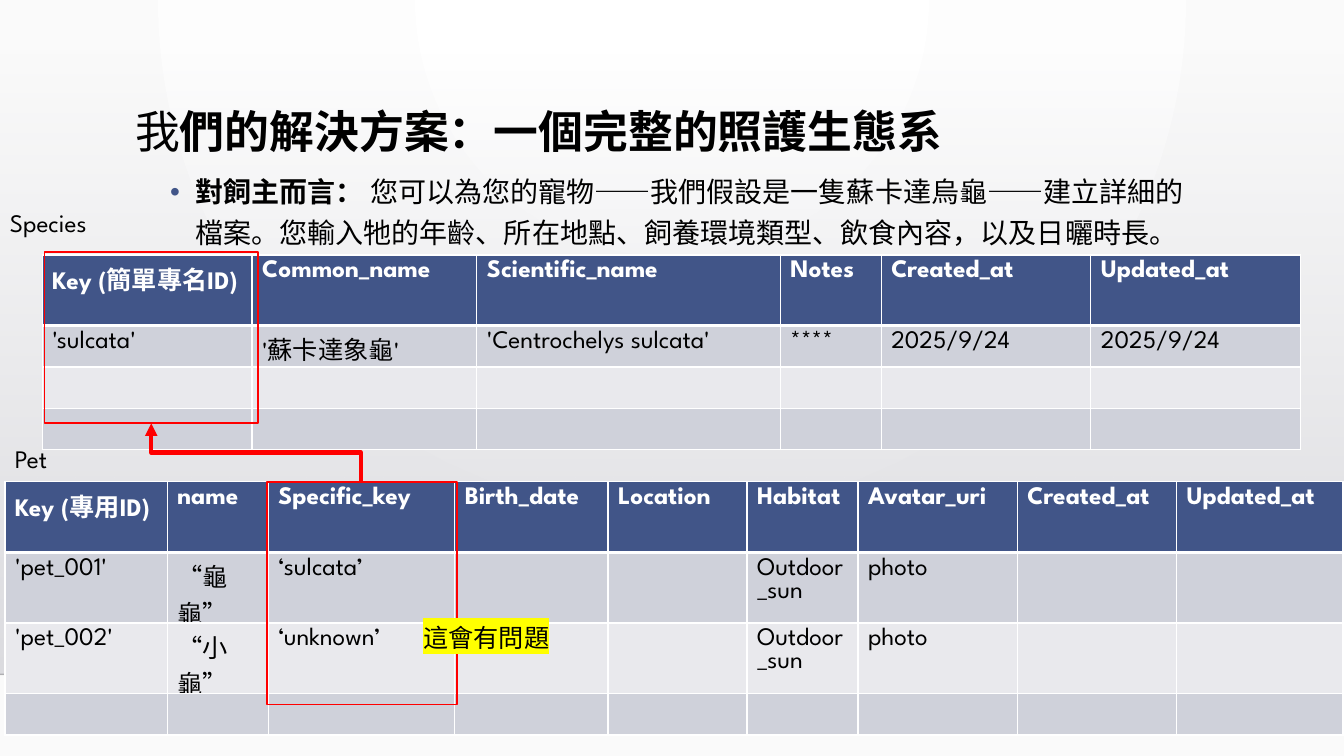
from dataclasses import dataclass

from lxml.etree import SubElement
from pptx import Presentation
from pptx.dml.color import RGBColor
from pptx.enum.shapes import MSO_CONNECTOR, MSO_SHAPE
from pptx.enum.text import MSO_ANCHOR, MSO_AUTO_SIZE, PP_ALIGN
from pptx.oxml import parse_xml
from pptx.oxml.ns import nsdecls, qn
from pptx.util import Emu, Pt

EMU_PER_PX = 9144  # 100 px to the inch
FONT = "League Spartan"
COLORS = {
    "text": "000000", "white": "FFFFFF", "header": "415588", "dark_band": "CFD1DA",
    "light_band": "E9E9ED", "red": "FF0000", "highlight": "FFFF00", "floor": "000001",
    "edge": "FAFAFA", "haze_top": "DCDCE0", "haze_bottom": "DEDEE2",
}


@dataclass(frozen=True)
class Box:
    left: int
    top: int
    width: int
    height: int

    def emu(self) -> tuple[Emu, ...]:
        return tuple(map(px, (self.left, self.top, self.width, self.height)))


@dataclass(frozen=True)
class DataTable:
    box: Box
    columns: list[int]
    rows: list[list[str]]


@dataclass(frozen=True)
class Label:
    box: Box
    text: str
    highlighted: bool = False


TABLES = [
    DataTable(Box(42, 253, 1248, 164), [208, 223, 301, 100, 208, 208], [
        ["Key (簡單專名ID)", "Common_name", "Scientific_name", "Notes", "Created_at", "Updated_at"],
        ["'sulcata'", "'蘇卡達象龜'", "'Centrochelys sulcata'", "****", "2025/9/24", "2025/9/24"],
        [""] * 6,
        [""] * 6,
    ]),
    DataTable(Box(5, 478, 1327, 164), [161, 100, 185, 152, 138, 110, 158, 158, 165], [
        ["Key (專用ID)", "name", "Specific_key", "Birth_date", "Location", "Habitat",
         "Avatar_uri", "Created_at", "Updated_at"],
        ["'pet_001'", "“龜龜”", "‘sulcata’", "", "", "Outdoor_sun", "photo", "", ""],
        ["'pet_002'", "“小龜”", "‘unknown’", "", "", "Outdoor_sun", "photo", "", ""],
        [""] * 9,
    ]),
]
KEY_FRAMES = [Box(44, 250, 212, 170), Box(265, 478, 188, 221)]
LABELS = [
    Label(Box(410, 612, 204, 40), "這會有問題", highlighted=True),
    Label(Box(0, 201, 464, 40), "Species"),
    Label(Box(5, 435, 464, 40), "Pet"),
]


def px(value: int) -> Emu:
    return Emu(value * EMU_PER_PX)


def rgb(name: str) -> RGBColor:
    return RGBColor.from_string(COLORS[name])


def add_run(paragraph, text: str, size: int, color: str = "text", bold: bool = False):
    run = paragraph.add_run()
    run.text = text
    run.font.size, run.font.bold, run.font.name = Pt(size), bold, FONT
    run.font.color.rgb = rgb(color)
    return run


def gradient(start: str, end: str, direction: str, start_alpha: int = 100):
    return parse_xml(
        f'<a:gradFill {nsdecls("a")} rotWithShape="1"><a:gsLst>'
        f'<a:gs pos="0"><a:srgbClr val="{COLORS[start]}"><a:alpha val="{start_alpha * 1000}"/>'
        f'</a:srgbClr></a:gs><a:gs pos="100000"><a:srgbClr val="{COLORS[end]}"/></a:gs>'
        f'</a:gsLst>{direction}</a:gradFill>')


def replace_gradient(fill_parent, new_fill) -> None:
    old_fill = fill_parent.find(qn("a:gradFill"))
    fill_parent.replace(old_fill, new_fill)


def add_connector(slide, kind, start: tuple[int, int], end: tuple[int, int],
                  color: str, width: float):
    connector = slide.shapes.add_connector(kind, *map(px, start + end))
    connector.line.color.rgb = rgb(color)
    connector.line.width = Pt(width)
    SubElement(connector.element.spPr, qn("a:effectLst"))
    return connector


def add_backdrop(slide) -> None:
    slide.background.fill.gradient()
    replace_gradient(slide.background.fill._xPr, gradient(
        "white", "edge", '<a:path path="circle">'
        '<a:fillToRect l="43000" t="0" r="43000" b="100000"/></a:path>'))
    haze = slide.shapes.add_shape(MSO_SHAPE.RECTANGLE, *Box(0, 51, 1333, 618).emu())
    haze.shadow.inherit = False
    haze.line.fill.background()
    haze.fill.gradient()
    replace_gradient(haze.element.spPr, gradient(
        "haze_top", "haze_bottom", '<a:lin ang="5400000" scaled="0"/>', start_alpha=0))
    floor = add_connector(slide, MSO_CONNECTOR.STRAIGHT, (0, 669), (1333, 669), "floor", 1)
    color = next(floor.element.spPr.iter(qn("a:srgbClr")))
    SubElement(color, qn("a:alpha")).set("val", "20000")
    # Behind the title placeholder
    for index, shape in enumerate((haze, floor), start=2):
        shape.element.getparent().insert(index, shape.element)


def add_title(slide) -> None:
    title = slide.shapes.title
    title.left, title.top, title.width, title.height = Box(124, 104, 1050, 115).emu()
    frame = title.text_frame
    frame.vertical_anchor = MSO_ANCHOR.TOP
    frame.auto_size = MSO_AUTO_SIZE.NONE
    paragraph = frame.paragraphs[0]
    paragraph.alignment = PP_ALIGN.LEFT
    paragraph.line_spacing = 0.9
    add_run(paragraph, "我", 32)
    add_run(paragraph, "們的解決方案：一個完整的照護生態系", 32, bold=True)


def add_body(slide) -> None:
    frame = slide.shapes.add_textbox(*Box(159, 162, 1050, 115).emu()).text_frame
    frame.word_wrap = True
    paragraph = frame.paragraphs[0]
    paragraph.line_spacing = 1.2
    paragraph.space_before = Pt(10)
    properties = paragraph._p.get_or_add_pPr()
    properties.set("marL", str(px(25)))
    properties.set("indent", str(px(-25)))
    bullet_color = SubElement(properties, qn("a:buClr"))
    SubElement(bullet_color, qn("a:srgbClr")).set("val", COLORS["header"])
    SubElement(properties, qn("a:buFont")).set("typeface", "Arial")
    SubElement(properties, qn("a:buChar")).set("char", "•")
    add_run(paragraph, "對飼主而言：", 20, bold=True)
    add_run(paragraph, " 您可以為您的寵物——我們假設是一隻蘇卡達烏龜——建立詳細的檔案。"
            "您輸入牠的年齡、所在地點、飼養環境類型、飲食內容，以及日曬時長。", 20)


def set_borders(cell, row_index: int) -> None:
    widths = {"L": 1, "R": 1, "T": 3 if row_index == 1 else 1, "B": 3 if row_index == 0 else 1}
    properties = cell._tc.get_or_add_tcPr()
    for index, (side, width) in enumerate(widths.items()):
        properties.insert(index, parse_xml(
            f'<a:ln{side} {nsdecls("a")} w="{Pt(width)}"><a:solidFill>'
            f'<a:srgbClr val="{COLORS["white"]}"/></a:solidFill></a:ln{side}>'))


def add_data_table(slide, data: DataTable) -> None:
    table = slide.shapes.add_table(len(data.rows), len(data.columns), *data.box.emu()).table
    for column, width in zip(table.columns, data.columns):
        column.width = px(width)
    for row_index, texts in enumerate(data.rows):
        header = row_index == 0
        band = "header" if header else "dark_band" if row_index % 2 else "light_band"
        for column_index, text in enumerate(texts):
            cell = table.cell(row_index, column_index)
            cell.fill.solid()
            cell.fill.fore_color.rgb = rgb(band)
            set_borders(cell, row_index)
            if text:
                add_run(cell.text_frame.paragraphs[0], text, 18,
                        "white" if header else "text", header)


def add_key_frame(slide, box: Box) -> None:
    frame = slide.shapes.add_shape(MSO_SHAPE.RECTANGLE, *box.emu())
    frame.shadow.inherit = False
    frame.fill.background()
    frame.line.color.rgb = rgb("red")
    frame.line.width = Pt(1.25)


def add_key_arrow(slide) -> None:
    # Turned a quarter so that it leaves and arrives vertically
    arrow = add_connector(slide, MSO_CONNECTOR.ELBOW, (225, 553), (283, 345), "red", 3)
    arrow.element.spPr.find(qn("a:xfrm")).set("rot", "16200000")
    SubElement(arrow.line._get_or_add_ln(), qn("a:tailEnd")).set("type", "triangle")


def add_label(slide, label: Label) -> None:
    frame = slide.shapes.add_textbox(*label.box.emu()).text_frame
    frame.word_wrap = True
    frame.auto_size = MSO_AUTO_SIZE.SHAPE_TO_FIT_TEXT
    run = add_run(frame.paragraphs[0], label.text, 18)
    if label.highlighted:
        run.font._element.find(qn("a:solidFill")).addnext(parse_xml(
            f'<a:highlight {nsdecls("a")}><a:srgbClr val="{COLORS["highlight"]}"/></a:highlight>'))


def main() -> None:
    presentation = Presentation()
    presentation.slide_width, presentation.slide_height = px(1333), px(750)
    slide = presentation.slides.add_slide(presentation.slide_layouts[5])
    add_backdrop(slide)
    add_title(slide)
    add_body(slide)
    for data in TABLES:
        add_data_table(slide, data)
    for box in KEY_FRAMES:
        add_key_frame(slide, box)
    add_key_arrow(slide)
    for label in LABELS:
        add_label(slide, label)
    presentation.save("out.pptx")


if __name__ == "__main__":
    main()
